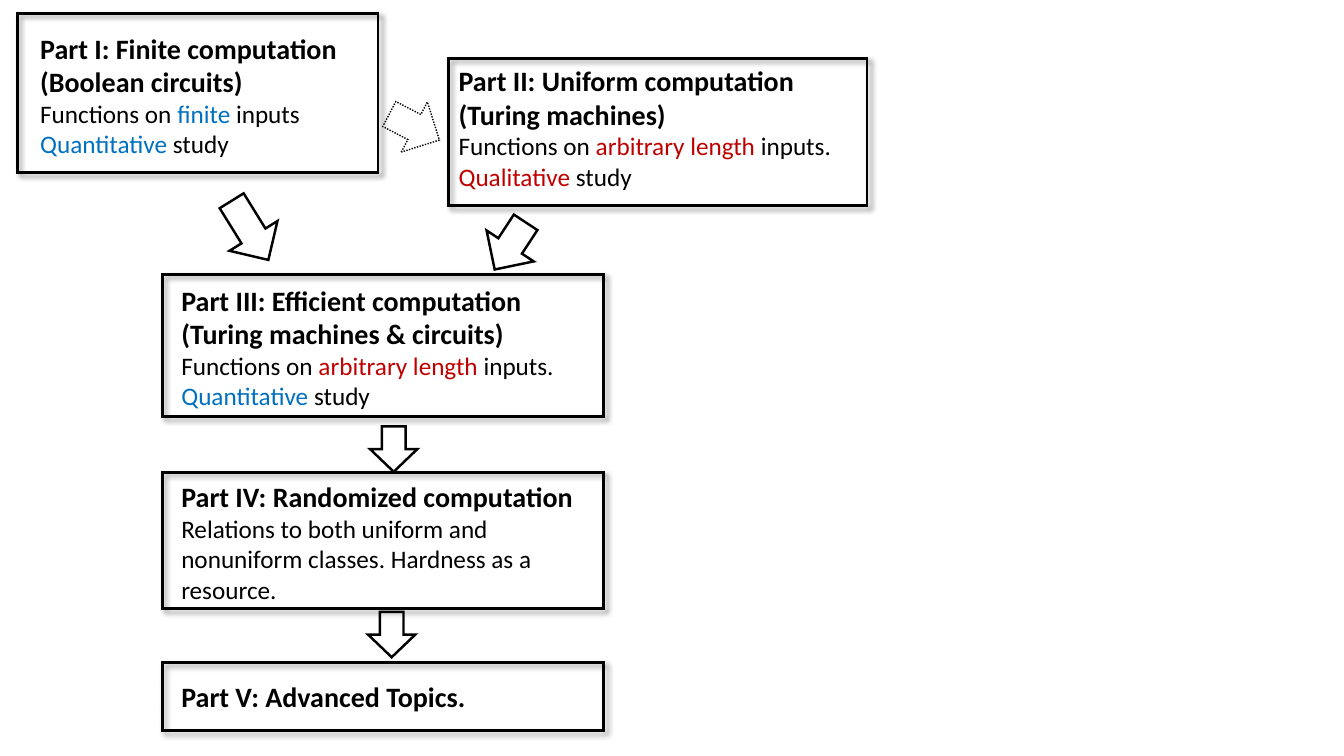
"""Build the slide that maps the five parts of a computation course."""
from dataclasses import dataclass
from typing import NamedTuple

from lxml.etree import SubElement
from pptx import Presentation
from pptx.dml.color import RGBColor
from pptx.enum.dml import MSO_LINE_DASH_STYLE as Dash
from pptx.enum.shapes import MSO_SHAPE as Preset
from pptx.enum.text import MSO_AUTO_SIZE as AutoSize
from pptx.oxml.ns import qn
from pptx.shapes.autoshape import Shape
from pptx.shapes.shapetree import SlideShapes
from pptx.util import Emu, Pt

PX = 9144
BLACK = RGBColor(0x00, 0x00, 0x00)
BLUE = RGBColor(0x00, 0x70, 0xC0)
RED = RGBColor(0xC0, 0x00, 0x00)
FONT = "Calibri"


class Area(NamedTuple):
    left: int
    top: int
    width: int
    height: int

    def emu(self) -> list[Emu]:
        return [Emu(length * PX) for length in self]


class Phrase(NamedTuple):
    text: str
    color: RGBColor = BLACK
    heading: bool = False
    ends_line: bool = False


@dataclass(frozen=True)
class Part:
    frame: Area
    label: Area
    paragraphs: list[list[Phrase]]


@dataclass(frozen=True)
class Arrow:
    area: Area
    rotation: float = 0
    weight: float = 1.75
    dotted: bool = False


def summary(heading: str, inputs: tuple[str, RGBColor], ending: str,
            study: tuple[str, RGBColor]) -> list[list[Phrase]]:
    return [[
        Phrase(heading, heading=True, ends_line=True),
        Phrase("Functions on "), Phrase(*inputs), Phrase(ending, ends_line=True),
        Phrase(*study), Phrase(" study"),
    ]]


FINITE = ("finite", BLUE)
ARBITRARY = ("arbitrary length", RED)
QUANTITATIVE = ("Quantitative", BLUE)
QUALITATIVE = ("Qualitative", RED)

PARTS = [
    Part(Area(17, 13, 358, 158), Area(30, 26, 372, 138),
         summary("Part I: Finite computation (Boolean circuits)",
                 FINITE, " inputs", QUANTITATIVE)),
    Part(Area(445, 58, 415, 146), Area(445, 58, 415, 138),
         summary("Part II: Uniform computation (Turing machines)",
                 ARBITRARY, " inputs.", QUALITATIVE)),
    Part(Area(161, 272, 438, 141), Area(170, 276, 438, 138),
         summary("Part III: Efficient computation (Turing machines & circuits)",
                 ARBITRARY, " inputs.", QUANTITATIVE)),
    Part(Area(161, 469, 438, 135), Area(170, 471, 410, 135),
         [[Phrase("Part IV: Randomized computation", heading=True)],
          [Phrase("Relations to both uniform and nonuniform classes. "
                  "Hardness as a resource.")]]),
    Part(Area(161, 657, 438, 68), Area(170, 669, 410, 44),
         [[Phrase("Part V: Advanced Topics.", heading=True)]]),
]

ARROWS = [
    Arrow(Area(383, 98, 56, 56), 297.5, 1, True),
    Arrow(Area(220, 194, 56, 69), 328.2),
    Arrow(Area(478, 216, 56, 56), 33.3),
    Arrow(Area(367, 423, 47, 45)),
    Arrow(Area(365, 607, 47, 45)),
]


def add_outline(shapes: SlideShapes, preset: Preset, area: Area, weight: float) -> Shape:
    outline = shapes.add_shape(preset, *area.emu())
    outline.shadow.inherit = False
    outline.fill.background()
    outline.line.color.rgb = BLACK
    outline.line.width = Pt(weight)
    SubElement(outline.line._get_or_add_ln(), qn("a:miter"), lim="800000")
    return outline


def add_shadow(frame: Shape) -> None:
    effects = frame._element.spPr.find(qn("a:effectLst"))
    shadow = SubElement(effects, qn("a:outerShdw"), blurRad=str(Pt(4)), dist=str(Pt(3)),
                        dir="2700000", algn="tl", rotWithShape="0")
    color = SubElement(shadow, qn("a:srgbClr"), val=str(BLACK))
    SubElement(color, qn("a:alpha"), val="40000")


def add_label(shapes: SlideShapes, part: Part) -> None:
    text_frame = shapes.add_textbox(*part.label.emu()).text_frame
    text_frame.word_wrap = True
    text_frame.auto_size = AutoSize.SHAPE_TO_FIT_TEXT
    for index, phrases in enumerate(part.paragraphs):
        paragraph = text_frame.add_paragraph() if index else text_frame.paragraphs[0]
        for phrase in phrases:
            run = paragraph.add_run()
            run.text = phrase.text
            run.font.name = FONT
            run.font.size = Pt(20 if phrase.heading else 18)
            run.font.bold = phrase.heading
            run.font.color.rgb = phrase.color
            if phrase.ends_line:
                paragraph.add_line_break()


def add_part(shapes: SlideShapes, part: Part) -> None:
    add_shadow(add_outline(shapes, Preset.RECTANGLE, part.frame, 2))
    add_label(shapes, part)


def add_arrow(shapes: SlideShapes, arrow: Arrow) -> None:
    outline = add_outline(shapes, Preset.DOWN_ARROW, arrow.area, arrow.weight)
    outline.rotation = arrow.rotation
    if arrow.dotted:
        outline.line.dash_style = Dash.ROUND_DOT


def main() -> None:
    presentation = Presentation()
    presentation.slide_width = Emu(1333 * PX)
    presentation.slide_height = Emu(750 * PX)
    shapes = presentation.slides.add_slide(presentation.slide_layouts[6]).shapes
    for part in PARTS:
        add_part(shapes, part)
    for arrow in ARROWS:
        add_arrow(shapes, arrow)
    presentation.save("out.pptx")


if __name__ == "__main__":
    main()
